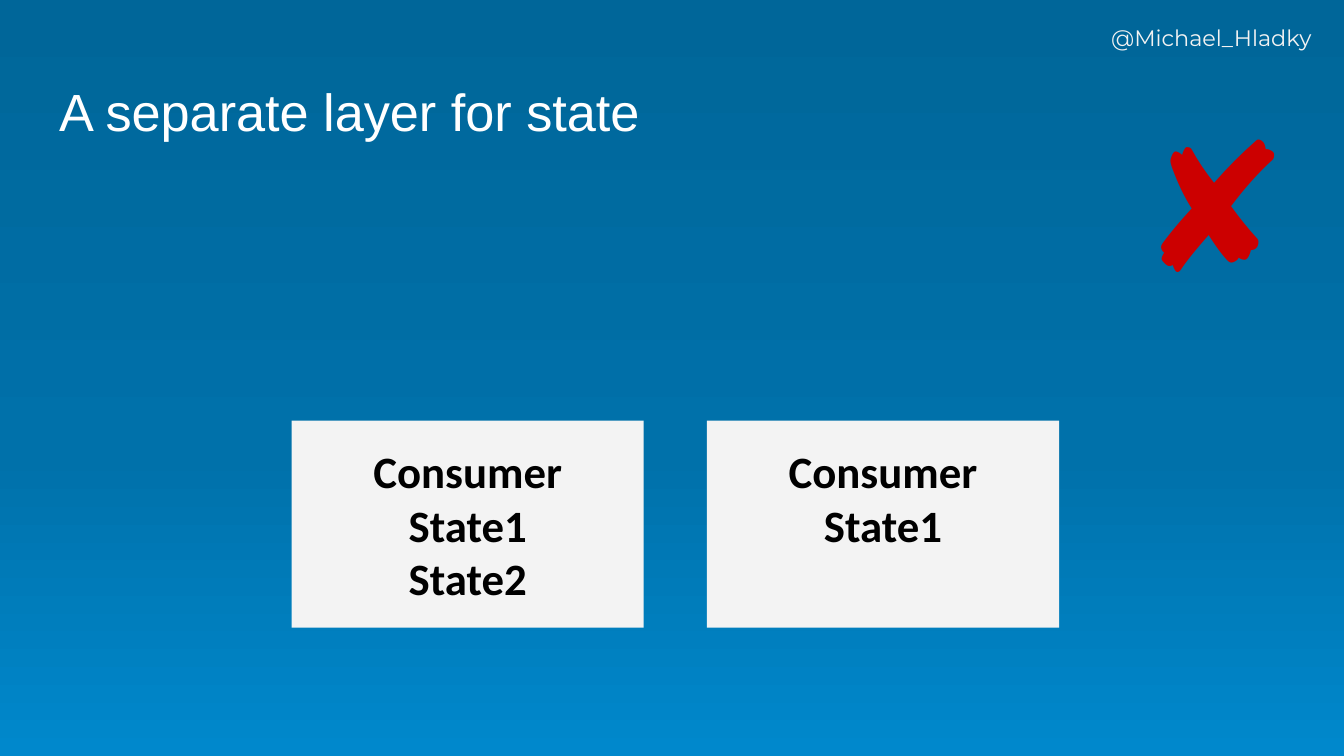
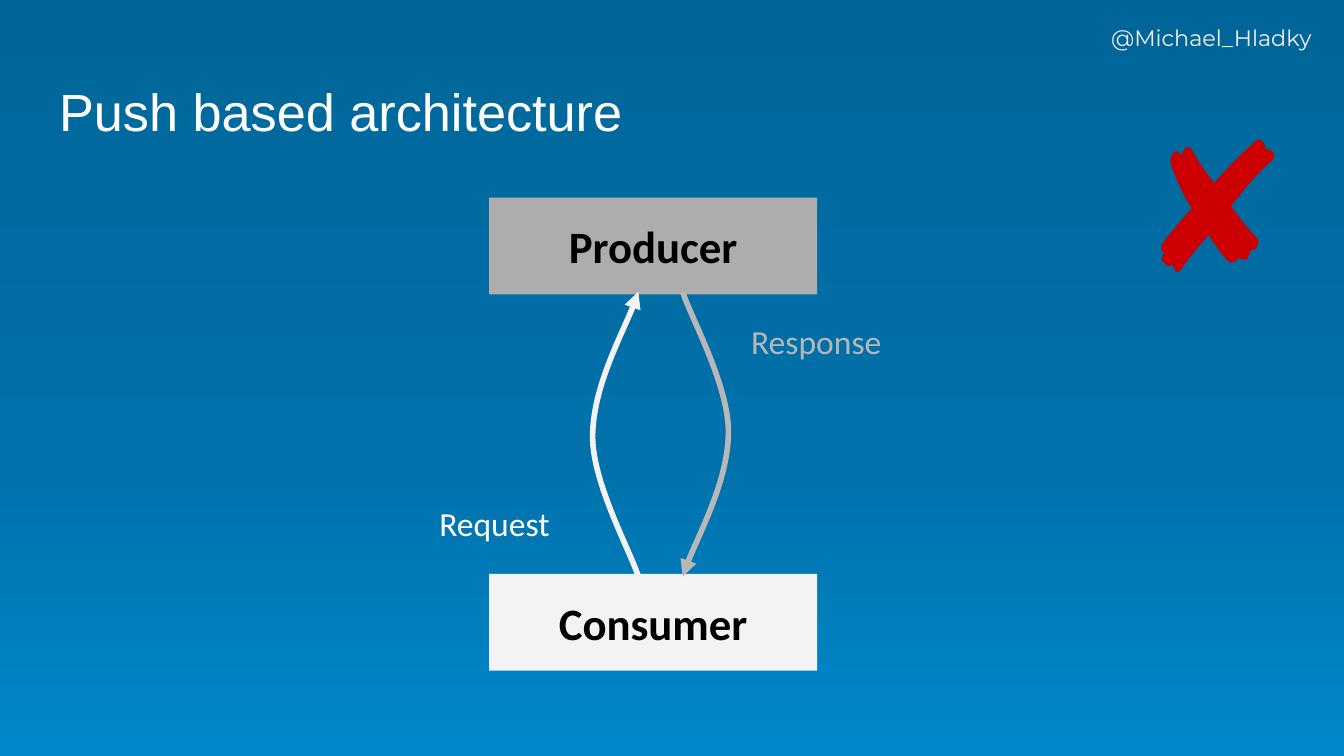
from copy import deepcopy
from dataclasses import dataclass

from lxml.etree import SubElement
from pptx import Presentation
from pptx.dml.color import RGBColor
from pptx.enum.shapes import MSO_SHAPE
from pptx.enum.text import MSO_ANCHOR, MSO_AUTO_SIZE, PP_ALIGN
from pptx.oxml.ns import qn
from pptx.util import Inches, Pt

COLORS = {
    "top": "006699",
    "middle": "0071AA",
    "bottom": "0088CC",
    "white": "FFFFFF",
    "light": "F3F3F3",
    "producer": "ADADAD",
    "response": "B7B7B7",
    "black": "000000",
    "cross": "CC0000",
}
BACKGROUND_STOPS = [("top", 0), ("middle", 0.6), ("bottom", 1)]

TEXT_STYLES = {
    "handle": ({"name": "Montserrat", "size": Pt(12), "bold": False}, "light"),
    "title": ({"name": "Arial", "size": Pt(28), "bold": False}, "white"),
    "box": ({"name": "Calibri", "size": Pt(24), "bold": True}, "black"),
    "request": ({"name": "Calibri", "size": Pt(18), "bold": False}, "white"),
    "response": ({"name": "Calibri", "size": Pt(18), "bold": False}, "response"),
    "cross": ({"name": "Arial", "size": Pt(96), "bold": False}, "cross"),
}

SLIDE_WIDTH = Inches(10)
SLIDE_HEIGHT = SLIDE_WIDTH * 9 // 16
INSET = 0.1
BOX_LINE_HEIGHT = 0.4
ARROW_TOP, ARROW_BOTTOM = 2.17, 4.29
REQUEST_END, RESPONSE_END = 4.75, 5.08
RESPONSE_CURVE = [
    (RESPONSE_END, ARROW_BOTTOM), (5.13, 4.11), (5.42, 3.57), (5.42, 3.21),
    (5.42, 2.86), (5.13, 2.34), (RESPONSE_END, ARROW_TOP),
]


@dataclass(frozen=True)
class Area:
    left: float
    top: float
    width: float
    height: float

    def lengths(self) -> list:
        return [Inches(value) for value in (self.left, self.top, self.width, self.height)]


@dataclass(frozen=True)
class Box:
    area: Area
    paragraphs: tuple
    fill: str = "light"
    missing_lines: int = 0


@dataclass(frozen=True)
class Label:
    area: Area
    text: str
    style: str
    anchor: MSO_ANCHOR = MSO_ANCHOR.TOP


TITLE_AREA = Area(0.34, 0.49, 9.32, 0.63)
HANDLE = Label(Area(8.17, 0.08, 1.7, 0.45), "@Michael_Hladky", "handle")
CROSS = Label(Area(8.38, 0.92, 1.19, 1.15), "✘", "cross", MSO_ANCHOR.MIDDLE)

STATE_BOXES = [
    Box(Area(2.17, 3.13, 2.62, 1.54), ("Consumer\nState1", "State2")),
    Box(Area(5.26, 3.13, 2.62, 1.54), ("Consumer\nState1",), missing_lines=1),
]
ROLE_BOXES = [
    Box(Area(3.64, 1.47, 2.44, 0.72), ("Producer",), "producer"),
    Box(Area(3.64, 4.27, 2.44, 0.72), ("Consumer",)),
]
ARROW_LABELS = [
    Label(Area(3.17, 3.64, 1.15, 0.46), "Request", "request"),
    Label(Area(5.49, 2.29, 1.35, 0.46), "Response", "response"),
]


def rgb(name: str) -> RGBColor:
    return RGBColor.from_string(COLORS[name])


def write_text(shape, paragraphs, style: str, anchor, alignment=PP_ALIGN.LEFT,
               bottom_inset: float = INSET) -> None:
    frame = shape.text_frame
    frame_format = {
        "word_wrap": True,
        "auto_size": MSO_AUTO_SIZE.NONE,
        "vertical_anchor": anchor,
        "margin_left": Inches(INSET),
        "margin_top": Inches(INSET),
        "margin_right": Inches(INSET),
        "margin_bottom": Inches(bottom_inset),
    }
    for name, value in frame_format.items():
        setattr(frame, name, value)
    font_format, color = TEXT_STYLES[style]
    for index, text in enumerate(paragraphs):
        paragraph = frame.add_paragraph() if index else frame.paragraphs[0]
        paragraph.text = text
        paragraph.alignment = alignment
        for run in paragraph.runs:
            for name, value in font_format.items():
                setattr(run.font, name, value)
            run.font.color.rgb = rgb(color)


def add_label(shapes, label: Label):
    shape = shapes.add_textbox(*label.area.lengths())
    write_text(shape, [label.text], label.style, label.anchor)
    return shape


def add_box(shapes, box: Box) -> None:
    """Draw a box whose bottom inset keeps room for its missing lines."""
    shape = shapes.add_shape(MSO_SHAPE.RECTANGLE, *box.area.lengths())
    shape.shadow.inherit = False
    shape.fill.solid()
    shape.fill.fore_color.rgb = rgb(box.fill)
    shape.line.fill.background()
    write_text(shape, box.paragraphs, "box", MSO_ANCHOR.MIDDLE, PP_ALIGN.CENTER,
               INSET + box.missing_lines * BOX_LINE_HEIGHT)


def add_curved_arrow(shapes, points: list, color: str) -> None:
    """Draw a Bezier curve with an arrowhead at its first point."""
    start, *controls = [(Inches(x), Inches(y)) for x, y in points]
    builder = shapes.build_freeform(*start)
    builder.add_line_segments(controls, close=False)
    shape = builder.convert_to_shape()
    shape.shadow.inherit = False
    shape.fill.background()
    shape.line.width = Pt(3)
    shape.line.color.rgb = rgb(color)

    outline = shape.element.find(".//" + qn("a:path"))
    segments = outline.findall(qn("a:lnTo"))
    for first in range(0, len(segments), 3):
        curve = SubElement(outline, qn("a:cubicBezTo"))
        for segment in segments[first:first + 3]:
            curve.append(segment[0])
            outline.remove(segment)
    line = shape.element.spPr.find(qn("a:ln"))
    SubElement(line, qn("a:headEnd")).set("type", "triangle")


def half_turn(points: list) -> list:
    """Turn the points about the middle of the two arrows."""
    return [(REQUEST_END + RESPONSE_END - x, ARROW_TOP + ARROW_BOTTOM - y)
            for x, y in points]


def set_background(master) -> None:
    fill = master.background.fill
    fill.gradient()
    fill.gradient_angle = 270
    stop_list = master.element.find(".//" + qn("a:gsLst"))
    stop_list.append(deepcopy(stop_list[-1]))
    for stop, (color, position) in zip(fill.gradient_stops, BACKGROUND_STOPS):
        stop.color.rgb = rgb(color)
        stop.position = position


def add_slide(presentation, layout, title: str):
    slide = presentation.slides.add_slide(layout)
    shape = slide.shapes.title
    shape.left, shape.top, shape.width, shape.height = TITLE_AREA.lengths()
    write_text(shape, [title], "title", MSO_ANCHOR.TOP)
    return slide


def main() -> None:
    presentation = Presentation()
    presentation.slide_width = SLIDE_WIDTH
    presentation.slide_height = SLIDE_HEIGHT
    set_background(presentation.slide_master)
    layout = presentation.slide_layouts.get_by_name("Title Only")

    state_slide = add_slide(presentation, layout, "A separate layer for state")
    handle = add_label(state_slide.shapes, HANDLE)
    layout.shapes.element.append(handle.element)
    for box in STATE_BOXES:
        add_box(state_slide.shapes, box)
    add_label(state_slide.shapes, CROSS)

    push_slide = add_slide(presentation, layout, "Push based architecture")
    diagram = push_slide.shapes.add_group_shape().shapes
    for box in ROLE_BOXES:
        add_box(diagram, box)
    add_curved_arrow(diagram, RESPONSE_CURVE, "response")
    add_curved_arrow(diagram, half_turn(RESPONSE_CURVE), "light")
    for label in ARROW_LABELS:
        add_label(diagram, label)
    add_label(push_slide.shapes, CROSS)

    presentation.save("out.pptx")


if __name__ == "__main__":
    main()
